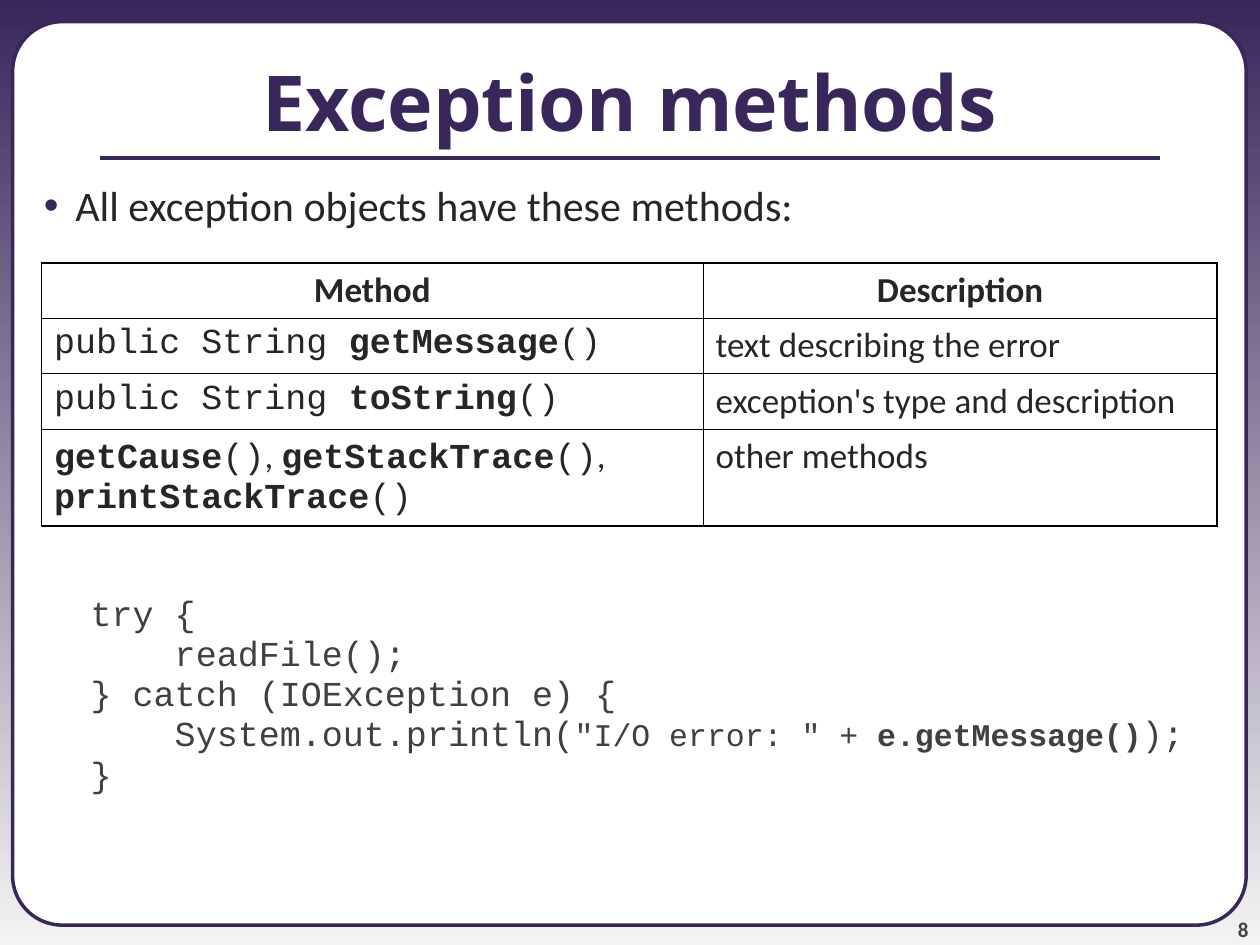
from lxml import etree
from pptx import Presentation
from pptx import util as u
from pptx.dml.color import RGBColor
from pptx.enum import shapes, text
from pptx.oxml.ns import qn

WIDTH, HEIGHT = u.Inches(10), u.Inches(7.5)
PURPLE, INK, CODE_GREY = "39275B", "262626", "404040"
SANS, MONO = "Calibri", "Courier New"
THICK, THIN = 1.08, 0.45
LEFT, CENTER, RIGHT = text.PP_ALIGN.LEFT, text.PP_ALIGN.CENTER, text.PP_ALIGN.RIGHT

METHODS = [
    [[("Method", SANS, True)], [("Description", SANS, True)]],
    [[("public String ", MONO, False), ("getMessage", MONO, True), ("()", MONO, False)],
     [("text describing the error", SANS, False)]],
    [[("public String ", MONO, False), ("toString", MONO, True), ("()", MONO, False)],
     [("exception's type and description", SANS, False)]],
    [[("getCause", MONO, True), ("()", MONO, False), (", ", SANS, False),
      ("getStackTrace", MONO, True), ("()", MONO, False), (", ", SANS, False),
      ("printStackTrace", MONO, True), ("()", MONO, False)],
     [("other methods", SANS, False)]],
]
CODE = [
    [("try {", 20, False)],
    [("    readFile();", 20, False)],
    [("} catch (IOException e) {", 20, False)],
    [("    System.out.println(", 20, False), ('"I/O error: " + ', 18, False),
     ("e.getMessage()", 18, True), (");", 20, False)],
    [("}", 20, False)],
]


def color(hex_code):
    return RGBColor.from_string(hex_code)


def share(x, y, width, height):
    return int(x * WIDTH), int(y * HEIGHT), int(width * WIDTH), int(height * HEIGHT)


def add_run(paragraph, words, size, font, hex_code, bold=False):
    run = paragraph.add_run()
    run.text = words
    run.font.size = u.Pt(size)
    run.font.name = font
    run.font.bold = bold
    run.font.color.rgb = color(hex_code)


def add_text_area(slide, area, anchor=text.MSO_ANCHOR.TOP, inset=0.0):
    frame = slide.shapes.add_textbox(*area).text_frame
    frame.word_wrap = True
    frame.vertical_anchor = anchor
    frame.margin_left = frame.margin_right = u.Inches(inset)
    frame.margin_top = frame.margin_bottom = u.Inches(inset / 2)
    return frame


def add_backdrop(slide):
    fill = slide.background.fill
    fill.gradient()
    fill.gradient_angle = 270
    for stop, hex_code, position in zip(fill.gradient_stops, (PURPLE, "F3F3F3"), (0, 1)):
        stop.color.rgb = color(hex_code)
        stop.position = position
    panel = slide.shapes.add_shape(
        shapes.MSO_SHAPE.ROUNDED_RECTANGLE, *share(0.01, 0.023, 0.979, 0.956))
    panel.adjustments[0] = 0.055
    panel.shadow.inherit = False
    panel.fill.solid()
    panel.fill.fore_color.rgb = color("FFFFFF")
    panel.line.color.rgb = color(PURPLE)
    panel.line.width = u.Pt(2)


def add_title(slide, words):
    frame = add_text_area(slide, share(0, 0.023, 1, 0.167), text.MSO_ANCHOR.MIDDLE, 0.1)
    heading = frame.paragraphs[0]
    heading.alignment = CENTER
    add_run(heading, words, 44, "Open Sans", PURPLE, True)
    left, top, width, _ = share(0.079, 0.167, 0.842, 0)
    rule = slide.shapes.add_connector(
        shapes.MSO_CONNECTOR.STRAIGHT, left, top, left + width, top)
    rule.line.color.rgb = color(PURPLE)
    rule.line.width = u.Pt(2.25)
    etree.SubElement(rule._element.spPr, qn("a:effectLst"))


def add_bullet(slide, words):
    frame = add_text_area(slide, share(0, 0.189, 1, 0.08), inset=0.1)
    point = frame.paragraphs[0]
    properties = point._p.get_or_add_pPr()
    properties.set("marL", str(u.Inches(0.5)))
    properties.set("indent", str(u.Inches(-0.25)))
    bullet_color = etree.SubElement(properties, qn("a:buClr"))
    etree.SubElement(bullet_color, qn("a:srgbClr"), val=PURPLE)
    etree.SubElement(properties, qn("a:buFont"), typeface="Arial")
    etree.SubElement(properties, qn("a:buChar"), char="•")
    point.line_spacing = 0.9
    add_run(point, words, 24, SANS, INK)


def set_borders(cell, widths):
    properties = cell._tc.get_or_add_tcPr()
    for side, width in zip("LRTB", widths):
        border = etree.SubElement(properties, qn(f"a:ln{side}"), w=str(u.Pt(width)))
        fill = etree.SubElement(border, qn("a:solidFill"))
        etree.SubElement(fill, qn("a:srgbClr"), val="000000")


def add_method_table(slide):
    last_row, last_column = len(METHODS) - 1, len(METHODS[0]) - 1
    table = slide.shapes.add_table(
        last_row + 1, last_column + 1, *share(0.033, 0.278, 0.933, 0.278)).table
    table.first_row = table.horz_banding = False
    for column, width in zip(table.columns, (5.25, 4.08)):
        column.width = u.Inches(width)
    for row, height in zip(table.rows, (0.44, 0.44, 0.44, 0.77)):
        row.height = u.Inches(height)
    for r, row in enumerate(METHODS):
        for c, runs in enumerate(row):
            cell = table.cell(r, c)
            outer = (c == 0, c == last_column, r == 0, r == last_row)
            set_borders(cell, [THICK if edge else THIN for edge in outer])
            cell.fill.background()
            entry = cell.text_frame.paragraphs[0]
            entry.alignment = CENTER if r == 0 else LEFT
            for words, font, bold in runs:
                add_run(entry, words, 20, font, INK, bold)


def add_code(slide):
    frame = add_text_area(slide, share(0.072, 0.636, 0.9, 0.22))
    for number, runs in enumerate(CODE):
        line = frame.add_paragraph() if number else frame.paragraphs[0]
        line.line_spacing = 0.75
        line.space_before = u.Pt(5 if number else 0)
        for words, size, bold in runs:
            add_run(line, words, size, MONO, CODE_GREY, bold)


def add_page_number(slide, number):
    frame = add_text_area(slide, share(0.908, 0.944, 0.083, 0.053), text.MSO_ANCHOR.BOTTOM)
    frame.paragraphs[0].alignment = RIGHT
    add_run(frame.paragraphs[0], number, 12, SANS, "424242", True)


def main():
    deck = Presentation()
    deck.slide_width, deck.slide_height = WIDTH, HEIGHT
    slide = deck.slides.add_slide(deck.slide_layouts[6])
    add_backdrop(slide)
    add_page_number(slide, "8")
    add_title(slide, "Exception methods")
    add_bullet(slide, "All exception objects have these methods:")
    add_method_table(slide)
    add_code(slide)
    deck.save("out.pptx")


if __name__ == "__main__":
    main()
